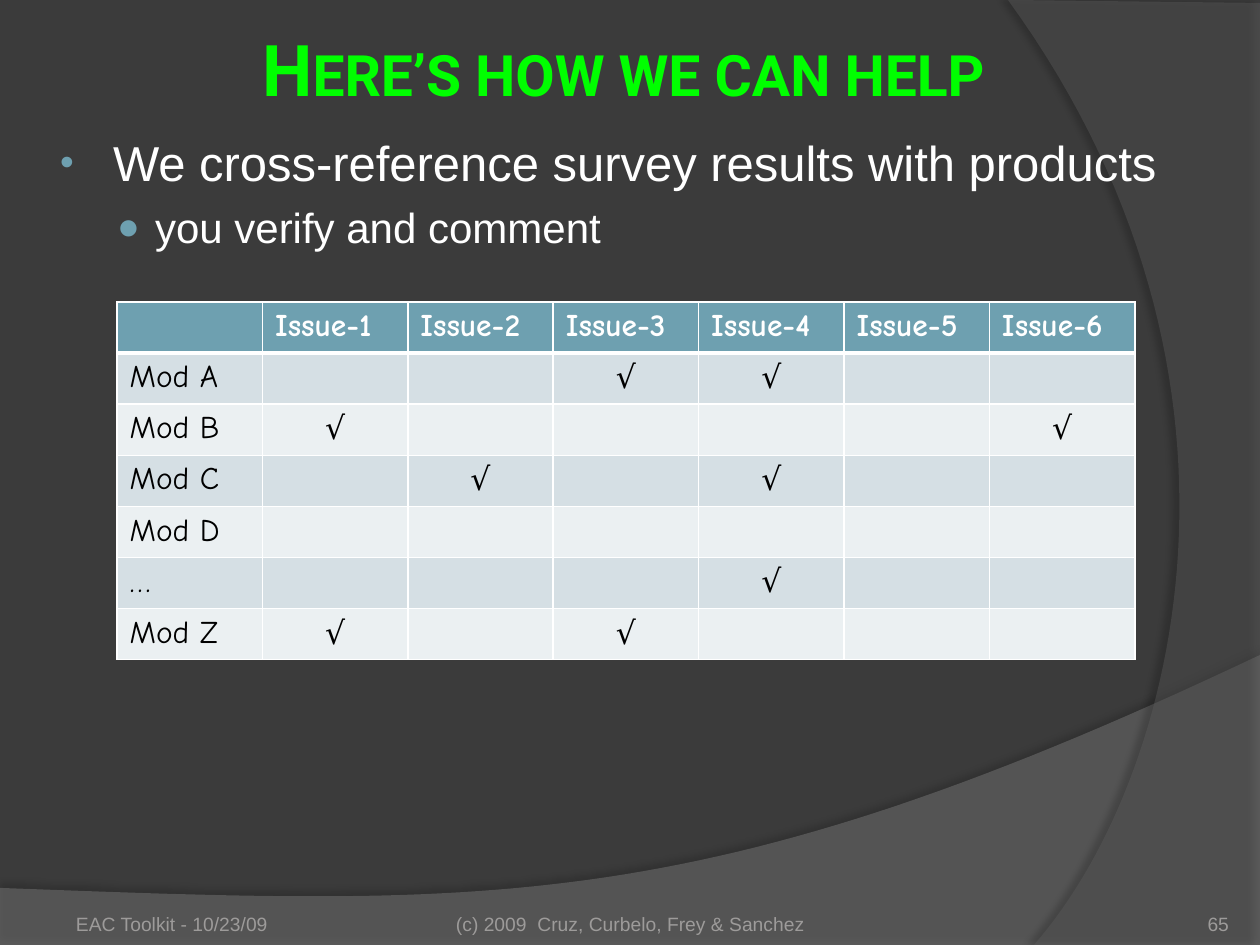
from dataclasses import dataclass
from lxml.etree import SubElement
from pptx import Presentation
from pptx.dml.color import RGBColor
from pptx.enum.text import MSO_ANCHOR, MSO_AUTO_SIZE, PP_ALIGN
from pptx.oxml.ns import qn
from pptx.util import Inches, Pt


@dataclass(frozen=True)
class Theme:
    bg: str = "3B3B3B"
    wave: str = "7F7F7F"
    arc: str = "5E5E5E"
    shadow: str = "000000"
    title: str = "00FF00"
    text: str = "FFFFFF"
    accent: str = "6EA0B0"
    footer: str = "9D9B9A"
    cell_text: str = "000000"
    border: str = "FFFFFF"
    bands: tuple = ("D5DFE4", "EBF0F2")
    title_font: str = "Roboto"
    body_font: str = "Arial"
    table_font: str = "Comic Neue"
    check_font: str = "DejaVu Sans"
    title_size: float = 40.7
    body_sizes: tuple = (28, 24)
    table_size: int = 18
    footer_size: int = 11


THEME = Theme()
SCALE = Inches(1) / 126
CHECK = "√"
ISSUES = 6
MODULES = [("Mod A", (3, 4)), ("Mod B", (1, 6)), ("Mod C", (2, 4)),
           ("Mod D", ()), ("…", (4,)), ("Mod Z", (1, 3))]
BULLETS = [("•", 80, 58, -53), ("●", 90, 100, -38)]


def px(n):
    return round(n * SCALE)


def rgb(color):
    return RGBColor.from_string(color)


def add(parent, tag, **attrs):
    return SubElement(parent, qn(tag), {k: str(v) for k, v in attrs.items()})


def style(p, font, size, color, bold=False):
    for r in p.runs:
        r.font.name, r.font.size, r.font.bold = font, Pt(size), bold
        r.font.color.rgb = rgb(color)


def place(sp, box):
    sp.left, sp.top, sp.width, sp.height = map(px, box)


def set_frame(tf, anchor, insets):
    tf.word_wrap = True
    tf.auto_size = MSO_AUTO_SIZE.NONE
    tf.vertical_anchor = anchor
    tf.margin_left, tf.margin_top, tf.margin_right, tf.margin_bottom = map(px, insets)


def curve(a, b, c, d, steps=60):
    points = []
    for i in range(1, steps + 1):
        t = i / steps
        u = 1 - t
        weights = (u ** 3, 3 * u * u * t, 3 * u * t * t, t ** 3)
        points.append(tuple(sum(w * q[k] for w, q in zip(weights, (a, b, c, d)))
                            for k in (0, 1)))
    return points


def add_swoosh(s, box, points, color, alpha, shadow):
    left, top = box
    outline = [(px(left + x), px(top + y)) for x, y in points]
    builder = s.shapes.build_freeform(*outline[0])
    builder.add_line_segments(outline[1:], close=True)
    sp = builder.convert_to_shape()
    sp.fill.solid()
    sp.fill.fore_color.rgb = rgb(color)
    sp.line.fill.background()
    sp.shadow.inherit = False
    spPr = sp._element.spPr
    add(spPr.find(qn("a:solidFill")).find(qn("a:srgbClr")), "a:alpha", val=alpha * 1000)
    opacity, blur, dist, angle = shadow
    shade = add(spPr.find(qn("a:effectLst")), "a:outerShdw", blurRad=Pt(blur),
                dist=Pt(dist), dir=angle * 60000, algn="ctr", rotWithShape=0)
    add(add(shade, "a:srgbClr", val=THEME.shadow), "a:alpha", val=opacity * 1000)
    s.shapes.title._element.addprevious(sp._element)


def add_backdrop(s):
    s.background.fill.solid()
    s.background.fill.fore_color.rgb = rgb(THEME.bg)
    wave = [(0, 233), (0, 291), (1260, 291), (1260, 0)]
    wave += curve((1260, 0), (704, 264), (493, 251), (0, 233))
    add_swoosh(s, (0, 655), wave, THEME.wave, 45, (35, 4, 3.5, 270))
    arc = [(252, 3), (252, 945), (26, 945)]
    arc += curve((26, 945), (170, 780), (275, 378), (0, 0))
    add_swoosh(s, (1008, 0), arc, THEME.arc, 40, (45, 4, 4, 180))


def add_title(s, box, text):
    sp = s.shapes.title
    place(sp, box)
    set_frame(sp.text_frame, MSO_ANCHOR.MIDDLE, (6, 6, 6, 6))
    sp.text_frame.text = text
    p = sp.text_frame.paragraphs[0]
    p.alignment = PP_ALIGN.CENTER
    p.line_spacing = 0.9
    style(p, THEME.title_font, THEME.title_size, THEME.title, True)
    p.runs[0].font._element.set("cap", "small")


def add_body(s, box, lines):
    sp = s.placeholders[1]
    place(sp, box)
    tf = sp.text_frame
    set_frame(tf, MSO_ANCHOR.TOP, (13, 6, 13, 6))
    for i, (text, level) in enumerate(lines):
        p = tf.add_paragraph() if i else tf.paragraphs[0]
        p.text = text
        p.level = level
        char, percent, margin, indent = BULLETS[level]
        pPr = p._p.get_or_add_pPr()
        pPr.set("marL", str(px(margin)))
        pPr.set("indent", str(px(indent)))
        add(add(pPr, "a:buClr"), "a:srgbClr", val=THEME.accent)
        add(pPr, "a:buSzPct", val=percent * 1000)
        add(pPr, "a:buFont", typeface=THEME.body_font)
        add(pPr, "a:buChar", char=char)
        p.space_before = Pt(6 if i else 0)
        style(p, THEME.body_font, THEME.body_sizes[level], THEME.text)


def fill_cell(cell, text, color, font, text_color, bold, centered, top, bottom):
    tcPr = cell._tc.get_or_add_tcPr()
    for side, width in zip("LRTB", (1, 1, top, bottom)):
        ln = add(tcPr, f"a:ln{side}", w=Pt(width))
        add(add(ln, "a:solidFill"), "a:srgbClr", val=THEME.border)
    cell.fill.solid()
    cell.fill.fore_color.rgb = rgb(color)
    cell.text = text
    p = cell.text_frame.paragraphs[0]
    p.alignment = PP_ALIGN.CENTER if centered else PP_ALIGN.LEFT
    style(p, font, THEME.table_size, text_color, bold)


def add_matrix(s, box):
    rows = [[""] + [f"Issue-{n}" for n in range(1, ISSUES + 1)]]
    rows += [[name] + [CHECK if n in hits else "" for n in range(1, ISSUES + 1)]
             for name, hits in MODULES]
    table = s.shapes.add_table(len(rows), ISSUES + 1, *map(px, box)).table
    table.horz_banding = False
    for i, row in enumerate(rows):
        header = i == 0
        color = THEME.accent if header else THEME.bands[(i - 1) % 2]
        for j, text in enumerate(row):
            check = text == CHECK
            fill_cell(table.cell(i, j), text, color,
                      THEME.check_font if check else THEME.table_font,
                      THEME.text if header else THEME.cell_text, header, check,
                      3 if i == 1 else 1, 3 if header else 1)


def add_footer(s, box, text, align, insets):
    tf = s.shapes.add_textbox(*map(px, box)).text_frame
    set_frame(tf, MSO_ANCHOR.BOTTOM, insets)
    tf.text = text
    p = tf.paragraphs[0]
    p.alignment = align
    style(p, THEME.body_font, THEME.footer_size, THEME.footer)


def main():
    prs = Presentation()
    prs.slide_width, prs.slide_height = px(1260), px(945)
    s = prs.slides.add_slide(prs.slide_layouts[1])
    add_backdrop(s)
    add_title(s, (52, 25, 1143, 96), "Here’s how we can help")
    add_body(s, (42, 126, 1155, 747),
             [("We cross-reference survey results with products", 0),
              ("you verify and comment", 1)])
    add_footer(s, (63, 885, 294, 50), "EAC Toolkit - 10/23/09", PP_ALIGN.LEFT, (13, 6, 13, 0))
    add_footer(s, (1124, 885, 105, 50), "65", PP_ALIGN.RIGHT, (0, 0, 0, 0))
    add_footer(s, (431, 885, 399, 50), "(c) 2009  Cruz, Curbelo, Frey & Sanchez",
               PP_ALIGN.CENTER, (0, 6, 0, 0))
    add_matrix(s, (117, 302, 1018, 358))
    prs.save("out.pptx")


if __name__ == "__main__":
    main()
